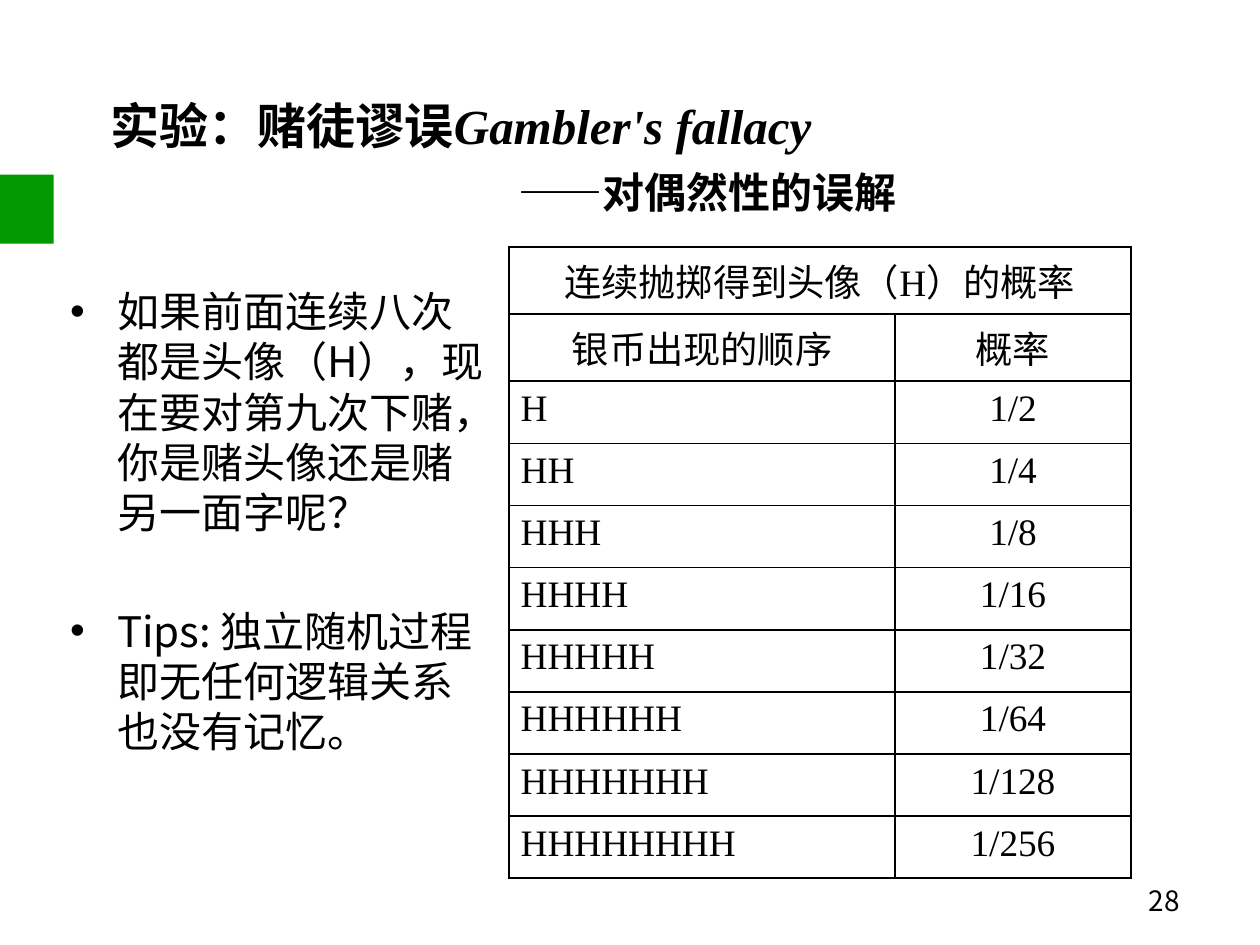
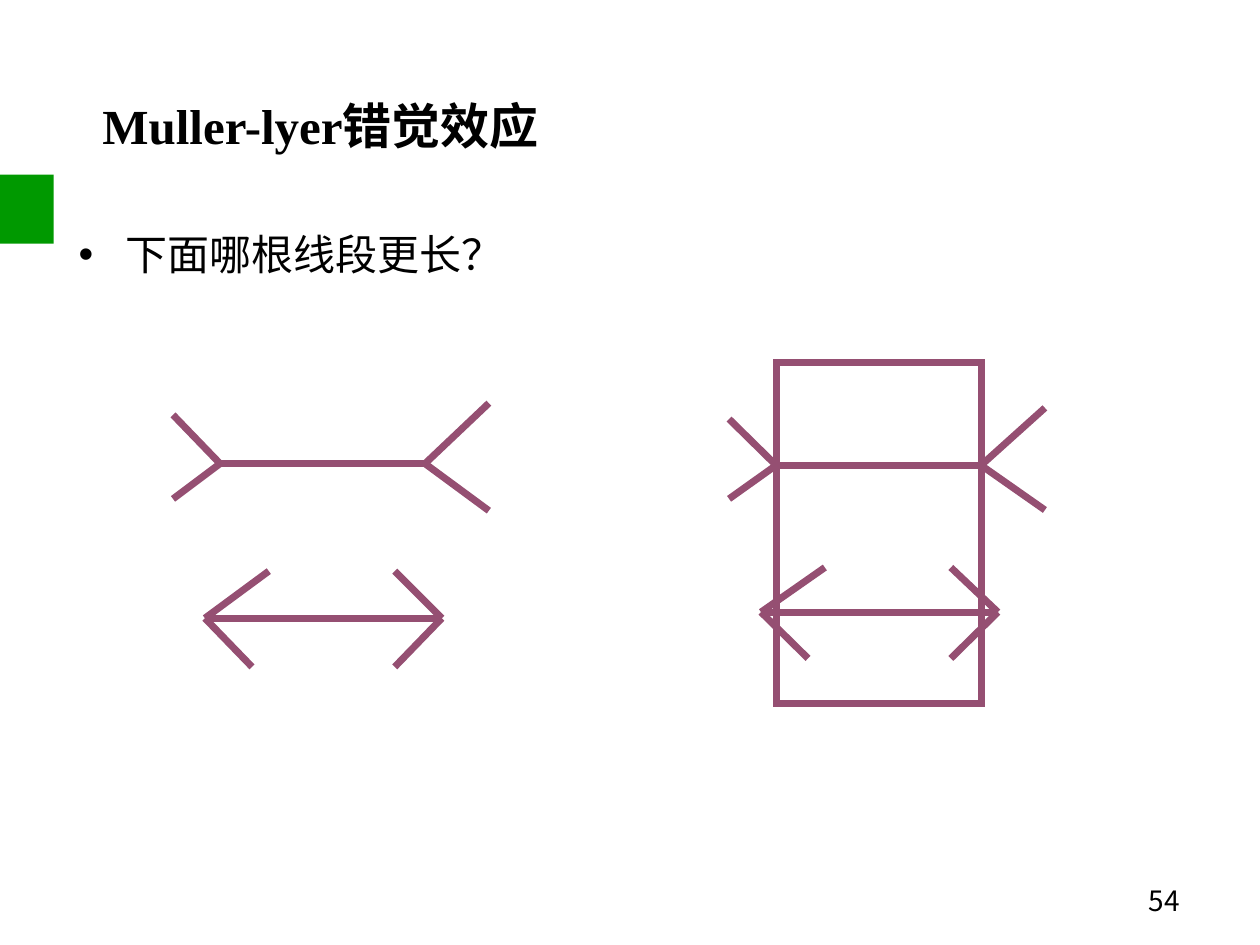
from dataclasses import dataclass

from pptx import Presentation
from pptx.dml.color import RGBColor
from pptx.enum.shapes import MSO_CONNECTOR, MSO_SHAPE
from pptx.enum.text import MSO_ANCHOR, MSO_AUTO_SIZE, PP_ALIGN
from pptx.oxml.ns import qn
from pptx.util import Inches, Pt
from lxml.etree import SubElement


@dataclass(frozen=True)
class Theme:
    black: RGBColor = RGBColor(0, 0, 0)
    green: RGBColor = RGBColor(0x00, 0x99, 0x00)
    plum: RGBColor = RGBColor(0x95, 0x4F, 0x72)
    sans: str = "Noto Sans CJK SC"
    serif: str = "Times New Roman"
    title: int = 21
    body: int = 18
    table: int = 16
    number: int = 12
    stroke: int = 3


T = Theme()

# Fins as (dx, dy) from the end of a shaft
OUT_LEFT = ((-0.28, -0.29), (-0.28, 0.21))
OUT_RIGHT = ((0.38, -0.36), (0.38, 0.28))
IN_LEFT = ((0.38, -0.28), (0.28, 0.29))
IN_RIGHT = ((-0.28, -0.28), (-0.28, 0.29))


def box(*lengths):
    return [Inches(v) for v in lengths]


def add_run(p, text, size, font=T.sans, east=None, bold=False, italic=False):
    r = p.add_run()
    r.text = text
    f = r.font
    f.size, f.bold, f.italic, f.name = Pt(size), bold, italic, font
    f.color.rgb = T.black
    SubElement(r._r.get_or_add_rPr(), qn("a:ea")).set("typeface", east or font)


def add_text(s, at, text, size, align=PP_ALIGN.LEFT, wrap=True, bold=False):
    tf = s.shapes.add_textbox(*box(*at)).text_frame
    tf.word_wrap = wrap
    p = tf.paragraphs[0]
    p.alignment = align
    add_run(p, text, size, bold=bold)


def add_bullets(s, at, items, gap=0):
    tf = s.shapes.add_textbox(*box(*at)).text_frame
    tf.word_wrap = True
    for i, item in enumerate(items):
        p = tf.add_paragraph() if i else tf.paragraphs[0]
        p.space_before = Pt(gap if i else 0)
        pPr = p._p.get_or_add_pPr()
        pPr.set("marL", str(Inches(0.28)))
        pPr.set("indent", str(-Inches(0.28)))
        SubElement(pPr, qn("a:buFont")).set("typeface", "Arial")
        SubElement(pPr, qn("a:buChar")).set("char", "•")
        add_run(p, item, T.body)


def add_slide(prs, title_left, title_runs, number):
    """Add a slide with its title, green marker and page number."""
    s = prs.slides.add_slide(prs.slide_layouts[5])
    title = s.shapes.title
    title.left, title.top, title.width, title.height = box(title_left, 0.52, 6.75, 0.94)
    tf = title.text_frame
    tf.vertical_anchor = MSO_ANCHOR.TOP
    tf.auto_size = MSO_AUTO_SIZE.NONE
    p = tf.paragraphs[0]
    p.alignment = PP_ALIGN.LEFT
    for text, font, italic in title_runs:
        add_run(p, text, T.title, font=font, bold=True, italic=italic)
    marker = s.shapes.add_shape(MSO_SHAPE.RECTANGLE, *box(0, 1.04, 0.32, 0.41))
    marker.shadow.inherit = False
    marker.fill.solid()
    marker.fill.fore_color.rgb = T.green
    marker.line.fill.background()
    add_text(s, (5.37, 5.21, 1.75, 0.3), str(number), T.number, align=PP_ALIGN.RIGHT)
    return s


def set_borders(cell, **widths):
    tcPr = cell._tc.get_or_add_tcPr()
    for i, side in enumerate(("lnL", "lnR", "lnT", "lnB")):
        ln = SubElement(tcPr, qn(f"a:{side}"), w=str(Pt(widths.get(side, 1))))
        fill = SubElement(ln, qn("a:solidFill"))
        SubElement(fill, qn("a:srgbClr")).set("val", str(T.black))
        tcPr.insert(i, ln)


def add_odds_table(s, at, col_widths, rows, headers=2):
    table = s.shapes.add_table(len(rows), len(col_widths), *box(*at)).table
    table.first_row = table.horz_banding = False
    for col, width in zip(table.columns, col_widths):
        col.width = Inches(width)
    for i, row in enumerate(rows):
        table.rows[i].height = Inches(0.4 if i < headers else 0.37)
        for j, text in enumerate(row):
            cell = table.cell(i, j)
            cell.fill.background()
            cell.margin_left = cell.margin_right = Inches(0.07)
            cell.margin_top = cell.margin_bottom = Inches(0.04)
            set_borders(cell,
                        lnT=0.75 if i > headers else 1,
                        lnB=0.75 if headers <= i < len(rows) - 1 else 1)
            if text:
                p = cell.text_frame.paragraphs[0]
                centred = i < headers or j > 0
                p.alignment = PP_ALIGN.CENTER if centred else PP_ALIGN.LEFT
                add_run(p, text, T.table, font=T.serif, east=T.sans)
    table.cell(0, 0).merge(table.cell(0, 1))


def add_line(group, x1, y1, x2, y2):
    line = group.shapes.add_connector(MSO_CONNECTOR.STRAIGHT, *box(x1, y1, x2, y2))
    line.line.color.rgb = T.plum
    line.line.width = Pt(T.stroke)
    SubElement(line._element.spPr, qn("a:effectLst"))


def add_shaft(group, left, right, y, fins, scale):
    """Add a horizontal line with two fins at each end."""
    add_line(group, left, y, right, y)
    for x, end_fins in zip((left, right), fins):
        for dx, dy in end_fins:
            add_line(group, x, y, x + dx, y + dy * scale)


def add_illusion(s, x, y, scale=1.0, frame=None):
    """Add the two shafts; x, y is the left end of the upper one."""
    group = s.shapes.add_group_shape()
    if frame:
        rect = group.shapes.add_shape(MSO_SHAPE.RECTANGLE, *box(*frame))
        rect.shadow.inherit = False
        rect.fill.background()
        rect.line.color.rgb = T.plum
        rect.line.width = Pt(T.stroke)
        SubElement(rect.line._get_or_add_ln(), qn("a:miter")).set("lim", "800000")
    add_shaft(group, x, x + 1.22, y, (OUT_LEFT, OUT_RIGHT), scale)
    add_shaft(group, x - 0.09, x + 1.32, y + 0.92 * scale, (IN_LEFT, IN_RIGHT), scale)


def main():
    prs = Presentation()
    prs.slide_width = Inches(7.5)
    prs.slide_height = prs.slide_width * 3 // 4

    s = add_slide(prs, 0.56, [("实验：赌徒谬误", T.sans, False),
                              ("Gambler's fallacy", T.serif, True)], 28)
    add_bullets(s, (0.32, 1.65, 2.67, 3.26), [
        "如果前面连续八次都是头像（H），现在要对第九次下赌，你是赌头像还是赌另一面字呢？",
        "Tips: 独立随机过程即无任何逻辑关系也没有记忆。",
    ], gap=29)
    rows = [("连续抛掷得到头像（H）的概率", ""), ("银币出现的顺序", "概率")]
    rows += [("H" * n, f"1/{2 ** n}") for n in range(1, 9)]
    add_odds_table(s, (3.03, 1.47, 3.7, 3.76), (2.3, 1.4), rows)
    add_text(s, (2.99, 0.94, 2.46, 0.4), "——对偶然性的误解", T.body,
             wrap=False, bold=True)

    s = add_slide(prs, 0.51, [("Muller-lyer", T.serif, False),
                              ("错觉效应", T.sans, False)], 54)
    add_bullets(s, (0.37, 1.31, 6.75, 3.71), ["下面哪根线段更长？"])
    add_illusion(s, 1.31, 2.76)
    add_illusion(s, 4.62, 2.77, scale=0.95, frame=(4.62, 2.16, 1.22, 2.03))

    prs.save("out.pptx")


if __name__ == "__main__":
    main()
